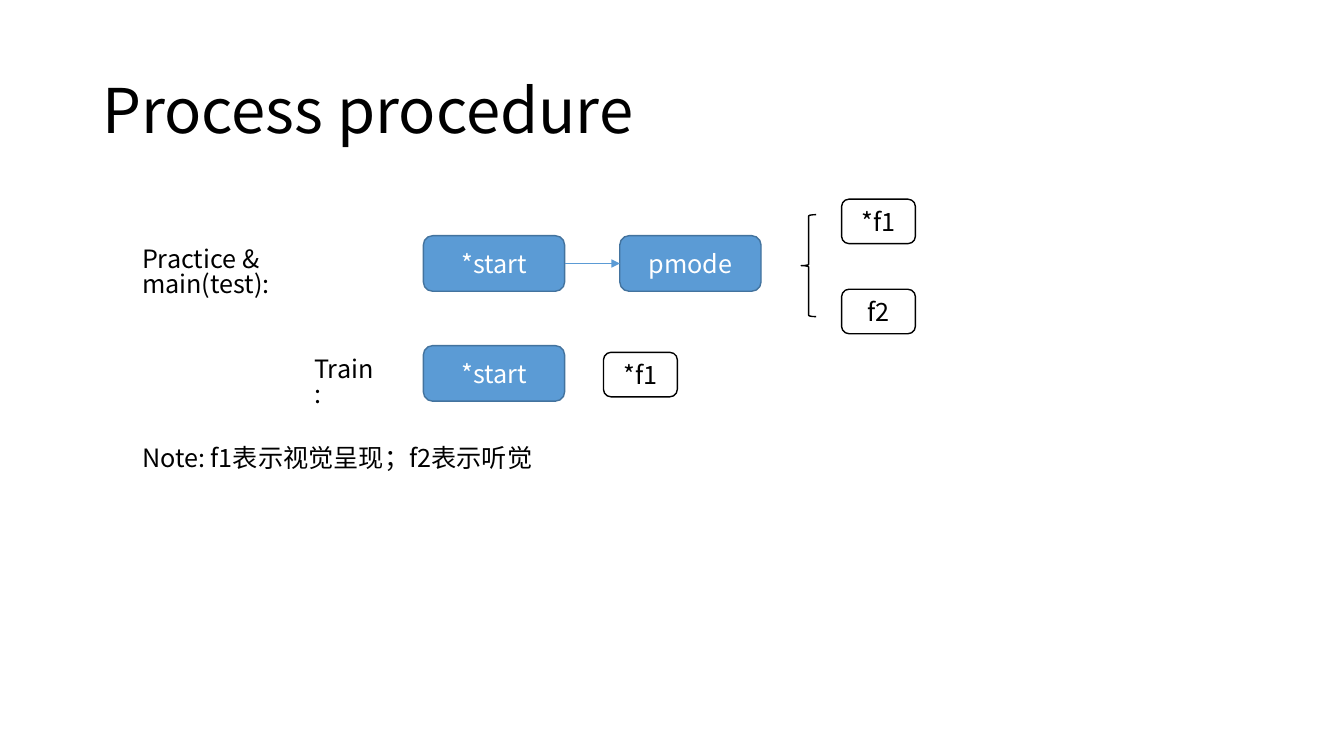
from dataclasses import dataclass

from lxml.etree import SubElement
from pptx import Presentation
from pptx.dml.color import RGBColor
from pptx.enum.shapes import MSO_CONNECTOR, MSO_SHAPE
from pptx.enum.text import MSO_ANCHOR, MSO_AUTO_SIZE, PP_ALIGN
from pptx.oxml.ns import qn
from pptx.util import Cm, Pt

FONT = "Noto Sans CJK SC"
BLACK = RGBColor(0x00, 0x00, 0x00)
WHITE = RGBColor(0xFF, 0xFF, 0xFF)
BLUE = RGBColor(0x5B, 0x9B, 0xD5)
DARK_BLUE = RGBColor(0x43, 0x73, 0x9E)


@dataclass(frozen=True)
class Style:
    width: float
    height: float
    fill: RGBColor
    line: RGBColor
    text: RGBColor


@dataclass(frozen=True)
class Node:
    text: str
    left: float
    top: float
    style: Style


@dataclass(frozen=True)
class Label:
    text: str
    left: float
    top: float
    width: float
    height: float = 1.02
    size: int = 18
    spacing: float = 0.82
    anchor: MSO_ANCHOR = MSO_ANCHOR.TOP
    fit: MSO_AUTO_SIZE = MSO_AUTO_SIZE.SHAPE_TO_FIT_TEXT


STEP = Style(3.56, 1.4, BLUE, DARK_BLUE, WHITE)
MODE = Style(1.86, 1.12, WHITE, BLACK, BLACK)
BRACE = Style(0.38, 2.57, WHITE, BLACK, BLACK)

# Lengths in centimetres
START_LEFT, PMODE_LEFT, MODE_LEFT = 10.67, 15.62, 21.21
TEST_TOP, TRAIN_TOP = 5.94, 8.71
LABEL_LEFT = 3.33

LABELS = [
    Label("Process procedure", 2.33, 1.01, 29.21, 3.68, 44, 0.9,
          MSO_ANCHOR.MIDDLE, MSO_AUTO_SIZE.NONE),
    Label("Practice & main(test):", LABEL_LEFT, 6.15, 6.5),
    Label("Train:", 7.67, 8.92, 2.16),
    Label("Note: f1表示视觉呈现；f2表示听觉", LABEL_LEFT, 11.15, 11.89),
]
NODES = [
    Node("*start", START_LEFT, TRAIN_TOP, STEP),
    Node("*start", START_LEFT, TEST_TOP, STEP),
    Node("pmode", PMODE_LEFT, TEST_TOP, STEP),
    Node("*f1", MODE_LEFT, 5.02, MODE),
    Node("f2", MODE_LEFT, 7.29, MODE),
    Node("*f1", 15.21, 8.88, MODE),
]


def write(shape, text: str, size: int, color: RGBColor, frame_format: dict, para_format: dict) -> None:
    for name, value in frame_format.items():
        setattr(shape.text_frame, name, value)
    para = shape.text_frame.paragraphs[0]
    for name, value in para_format.items():
        setattr(para, name, value)
    span = para.add_run()
    span.text = text
    for name, value in {"name": FONT, "size": Pt(size)}.items():
        setattr(span.font, name, value)
    span.font.color.rgb = color
    # East Asian typeface for the Chinese characters
    SubElement(span.font._element, qn("a:ea"), typeface=FONT)


def add_label(page, label: Label) -> None:
    box = page.shapes.add_textbox(Cm(label.left), Cm(label.top), Cm(label.width), Cm(label.height))
    write(box, label.text, label.size, BLACK,
          {"word_wrap": True, "auto_size": label.fit, "vertical_anchor": label.anchor},
          {"line_spacing": label.spacing})


def add_outline(page, kind: MSO_SHAPE, left: float, top: float, style: Style):
    shape = page.shapes.add_shape(kind, Cm(left), Cm(top), Cm(style.width), Cm(style.height))
    shape.shadow.inherit = False
    shape.fill.solid()
    shape.fill.fore_color.rgb = style.fill
    shape.line.color.rgb = style.line
    shape.line.width = Pt(1)
    return shape


def add_node(page, node: Node) -> None:
    box = add_outline(page, MSO_SHAPE.ROUNDED_RECTANGLE, node.left, node.top, node.style)
    write(box, node.text, 18, node.style.text,
          {"word_wrap": True, "vertical_anchor": MSO_ANCHOR.MIDDLE},
          {"alignment": PP_ALIGN.CENTER})


def add_arrow(page, start: float, end: float, height: float) -> None:
    arrow = page.shapes.add_connector(MSO_CONNECTOR.STRAIGHT, Cm(start), Cm(height), Cm(end), Cm(height))
    arrow.line.color.rgb = BLUE
    arrow.line.width = Pt(0.5)
    SubElement(arrow.line._get_or_add_ln(), qn("a:tailEnd"), type="triangle")
    SubElement(arrow._element.spPr, qn("a:effectLst"))


def main() -> None:
    deck = Presentation()
    deck.slide_width, deck.slide_height = Cm(33.87), Cm(19.05)
    page = deck.slides.add_slide(deck.slide_layouts[6])

    # Title, row labels and note
    for label in LABELS:
        add_label(page, label)

    # Steps and presentation modes
    for node in NODES:
        add_node(page, node)

    # Links between them
    add_arrow(page, START_LEFT + STEP.width, PMODE_LEFT, TEST_TOP + STEP.height / 2)
    add_outline(page, MSO_SHAPE.LEFT_BRACE, 20.19, 5.41, BRACE)

    deck.save("out.pptx")


if __name__ == "__main__":
    main()
